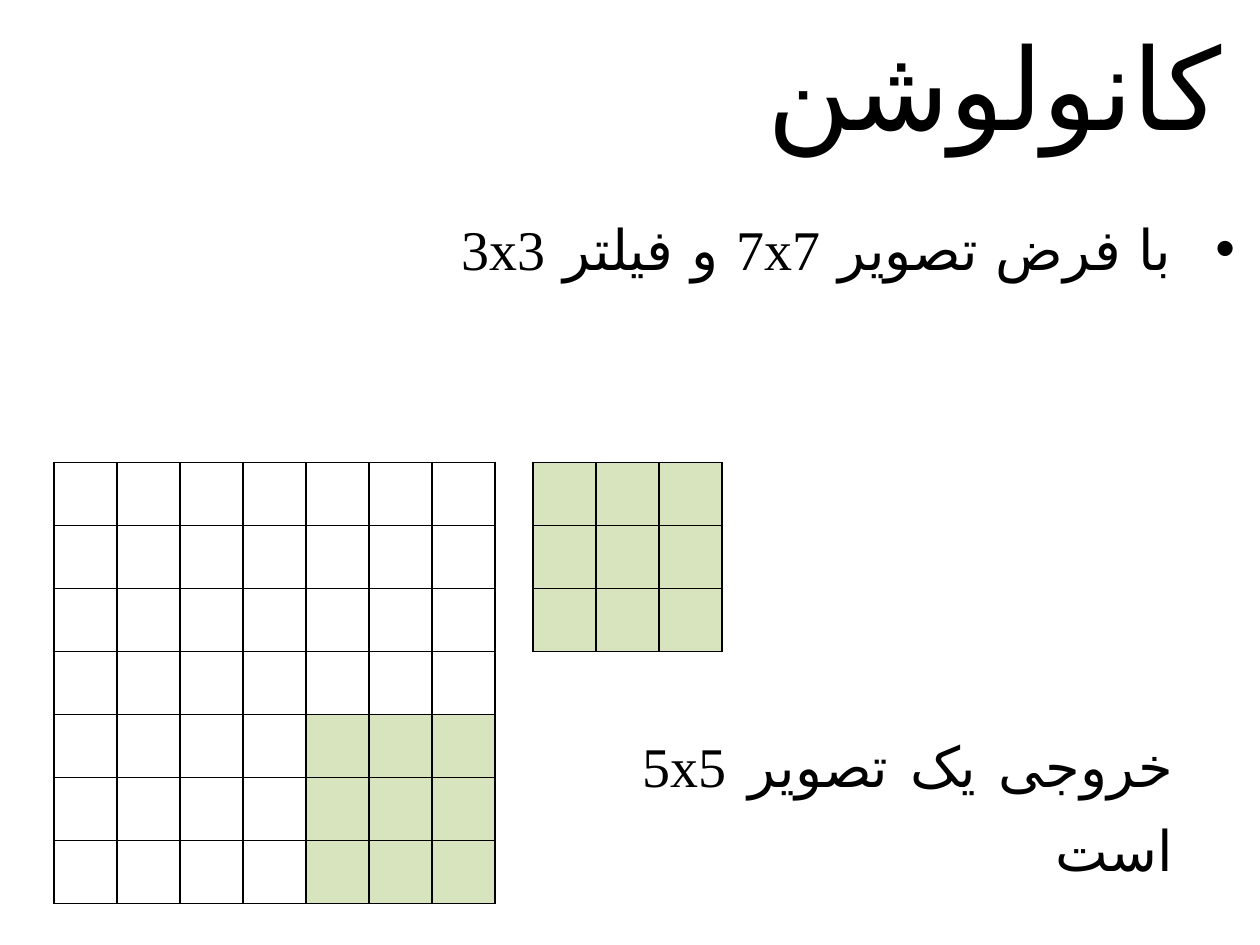
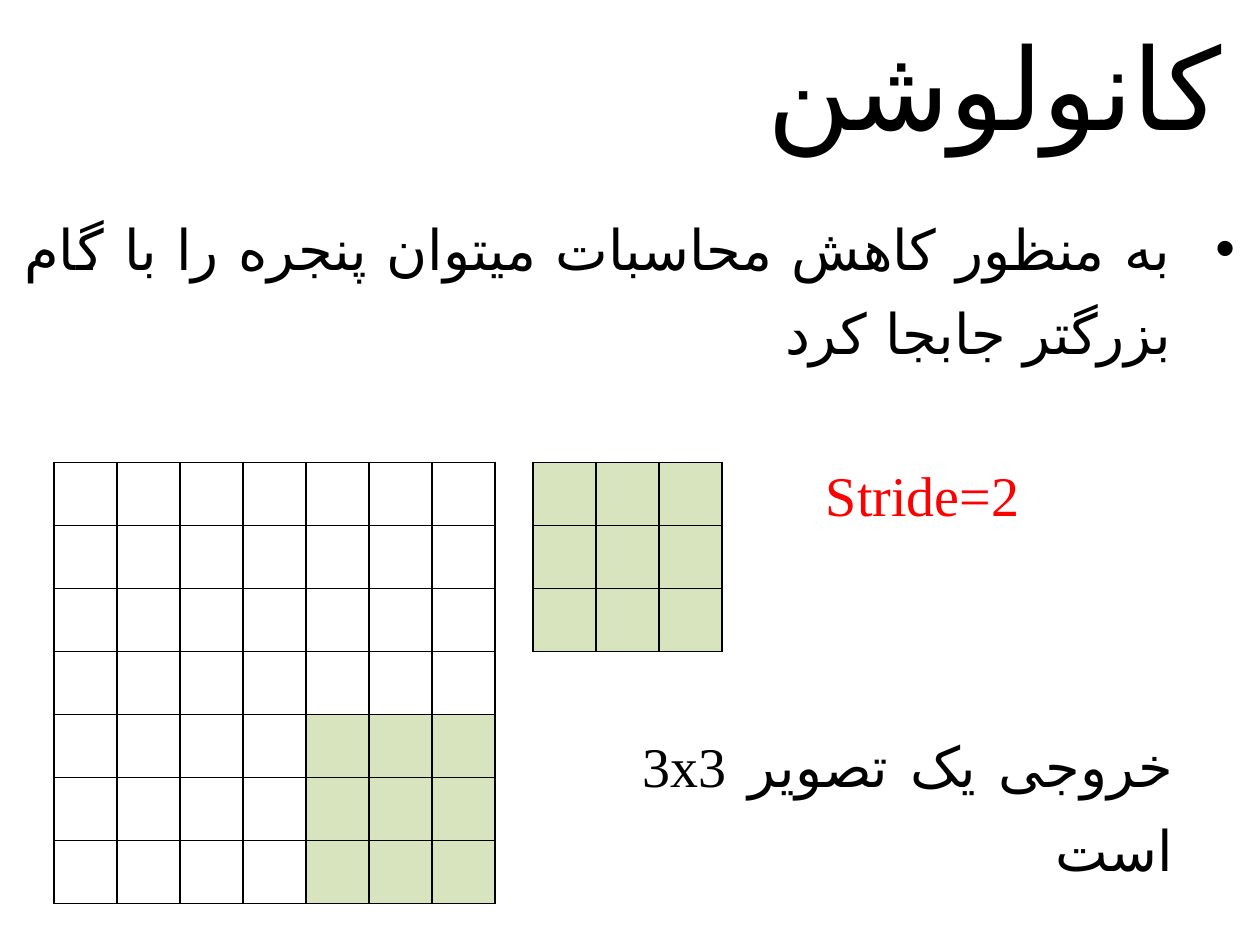
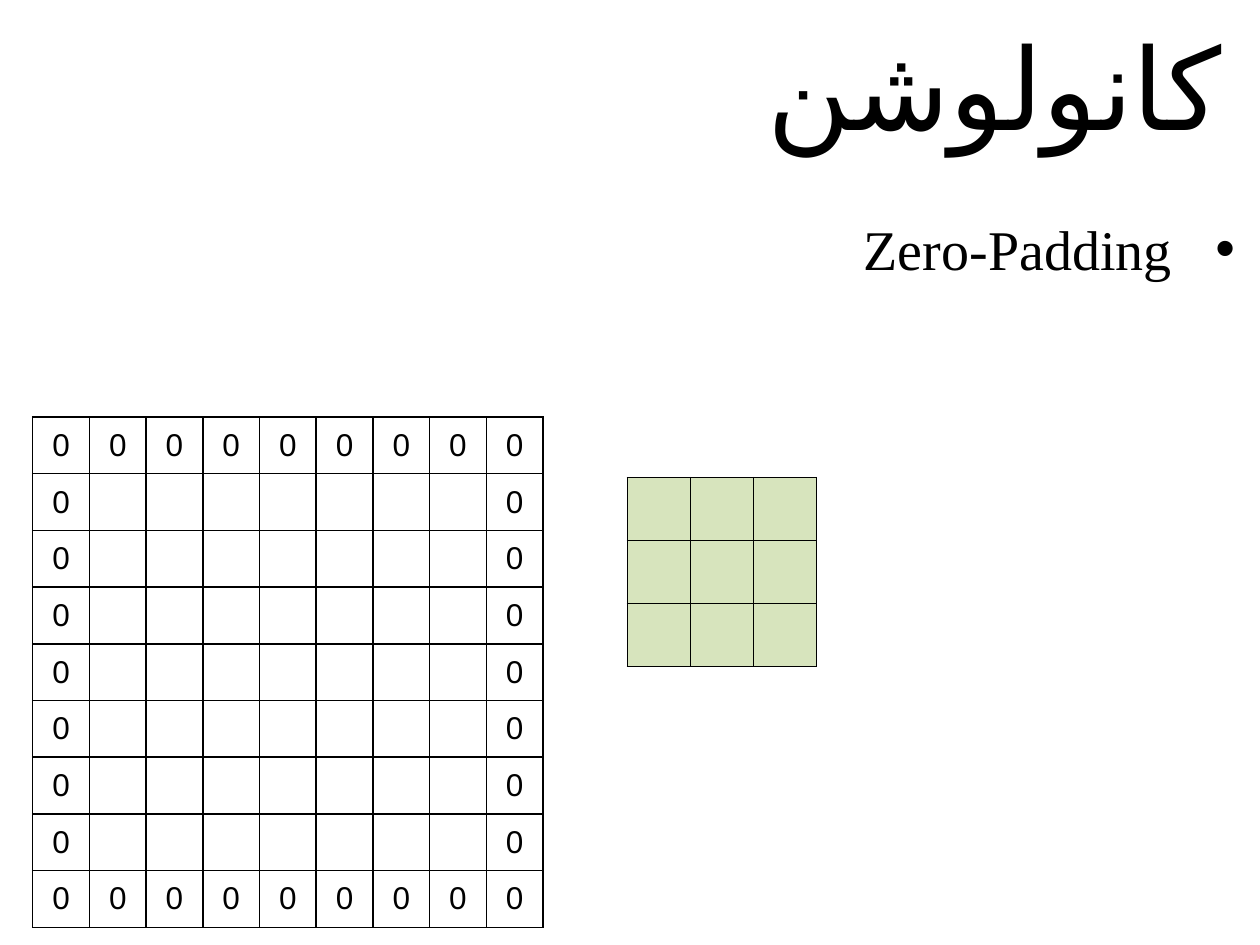
"""Build three slides on convolution: window, stride and zero padding."""
from lxml.etree import SubElement
from pptx import Presentation
from pptx.dml.color import RGBColor
from pptx.enum.text import MSO_ANCHOR, MSO_AUTO_SIZE, PP_ALIGN
from pptx.oxml.ns import qn
from pptx.util import Inches, Pt

HUES = {"ink": "000000", "red": "FF0000", "green": "D7E4BD"}
SCRIPT = "DejaVu Sans"


class Deck:
    """Hold the style and the current slide."""

    def __init__(self):
        self.prs = Presentation()
        self.prs.slide_width, self.prs.slide_height = Inches(10), Inches(7.5)
        self.slide = None

    def hue(self, name):
        """Return a named colour."""
        return RGBColor.from_string(HUES[name])

    def page(self, title):
        """Start a slide with its title."""
        self.slide = self.prs.slides.add_slide(self.prs.slide_layouts[6])
        box, para = self.text(title, -0.02, 0.05, 10.02, 1.25, 65, "Calibri")
        box.vertical_anchor = MSO_ANCHOR.MIDDLE
        self.indent(para, 0.2, 0)

    def run(self, para, words, size, face, hue="ink"):
        """Add one styled run."""
        run = para.add_run()
        run.text = words
        run.font.size, run.font.name = Pt(size), face
        run.font.color.rgb = self.hue(hue)
        SubElement(run.font._element, qn("a:cs")).set("typeface", SCRIPT)

    def indent(self, para, left, first):
        """Set the indents of a paragraph."""
        props = para._p.get_or_add_pPr()
        props.set("marL", str(Inches(left)))
        props.set("indent", str(Inches(first)))

    def text(self, words, left, top, wide, high, size, face, hue="ink"):
        """Add a justified right-to-left text box."""
        box = self.slide.shapes.add_textbox(
            Inches(left), Inches(top), Inches(wide), Inches(high)).text_frame
        box.word_wrap = True
        para = box.paragraphs[0]
        para.alignment = PP_ALIGN.JUSTIFY
        para._p.get_or_add_pPr().set("rtl", "1")
        self.run(para, words, size, face, hue)
        return box, para

    def note(self, words, left, top, wide, high, hue="ink"):
        """Add body text in a box that grows."""
        box, para = self.text(words, left, top, wide, high, 32,
                              "Times New Roman", hue)
        box.auto_size = MSO_AUTO_SIZE.SHAPE_TO_FIT_TEXT
        para.line_spacing = 1.25
        return para

    def point(self, words, high=0.77):
        """Add the bullet under the title."""
        para = self.note(words, 0.08, 1.52, 9.82, high)
        self.indent(para, 0.5, -0.5)
        props = para._p.get_or_add_pPr()
        SubElement(props, qn("a:buFont")).set("typeface", "Arial")
        SubElement(props, qn("a:buChar")).set("char", "•")

    def edge(self, cell):
        """Draw the four borders of a cell."""
        props = cell._tc.get_or_add_tcPr()
        for side in "LRTB":
            line = SubElement(props, qn(f"a:ln{side}"), w=str(Pt(1)))
            fill = SubElement(line, qn("a:solidFill"))
            SubElement(fill, qn("a:srgbClr")).set("val", HUES["ink"])

    def grid(self, left, top, count, step, green=0, pad=False):
        """Add a square grid, its last rows and columns green or its rim zero."""
        side = Inches(count * step)
        table = self.slide.shapes.add_table(
            count, count, Inches(left), Inches(top), side, side).table
        table.first_row = table.horz_banding = False
        for i in range(count):
            table.rows[i].height = table.columns[i].width = Inches(step)
            for j in range(count):
                cell = table.cell(i, j)
                self.edge(cell)
                if min(i, j) >= count - green:
                    cell.fill.solid()
                    cell.fill.fore_color.rgb = self.hue("green")
                else:
                    cell.fill.background()
                if pad and {i, j} & {0, count - 1}:
                    cell.vertical_anchor = MSO_ANCHOR.MIDDLE
                    para = cell.text_frame.paragraphs[0]
                    para.alignment = PP_ALIGN.CENTER
                    self.run(para, "0", 18, "Arial")

    def mask(self, left, top):
        """Add the 3 by 3 filter."""
        self.grid(left, top, 3, 0.5, green=3)

    def scan(self, result):
        """Add the image, the filter and the size of the result."""
        self.grid(0.43, 3.67, 7, 0.5, green=3)
        self.mask(4.23, 3.67)
        self.note(f"خروجی یک تصویر {result} است", 5, 5.62, 4.41, 0.77)


def main():
    """Build and save the deck."""
    deck = Deck()
    title = "کانولوشن"

    deck.page(title)
    deck.scan("5x5")
    deck.point("با فرض تصویر 7x7 و فیلتر 3x3")

    deck.page(title)
    deck.scan("3x3")
    deck.note("Stride=2", 6.18, 3.47, 2.01, 0.71, "red")
    deck.point("به منظور کاهش محاسبات میتوان پنجره را با گام بزرگتر جابجا کرد", 1.41)

    deck.page(title)
    deck.point("Zero-Padding")
    deck.grid(0.26, 3.31, 9, 0.45, pad=True)
    deck.mask(4.98, 3.79)

    deck.prs.save("out.pptx")


if __name__ == "__main__":
    main()
